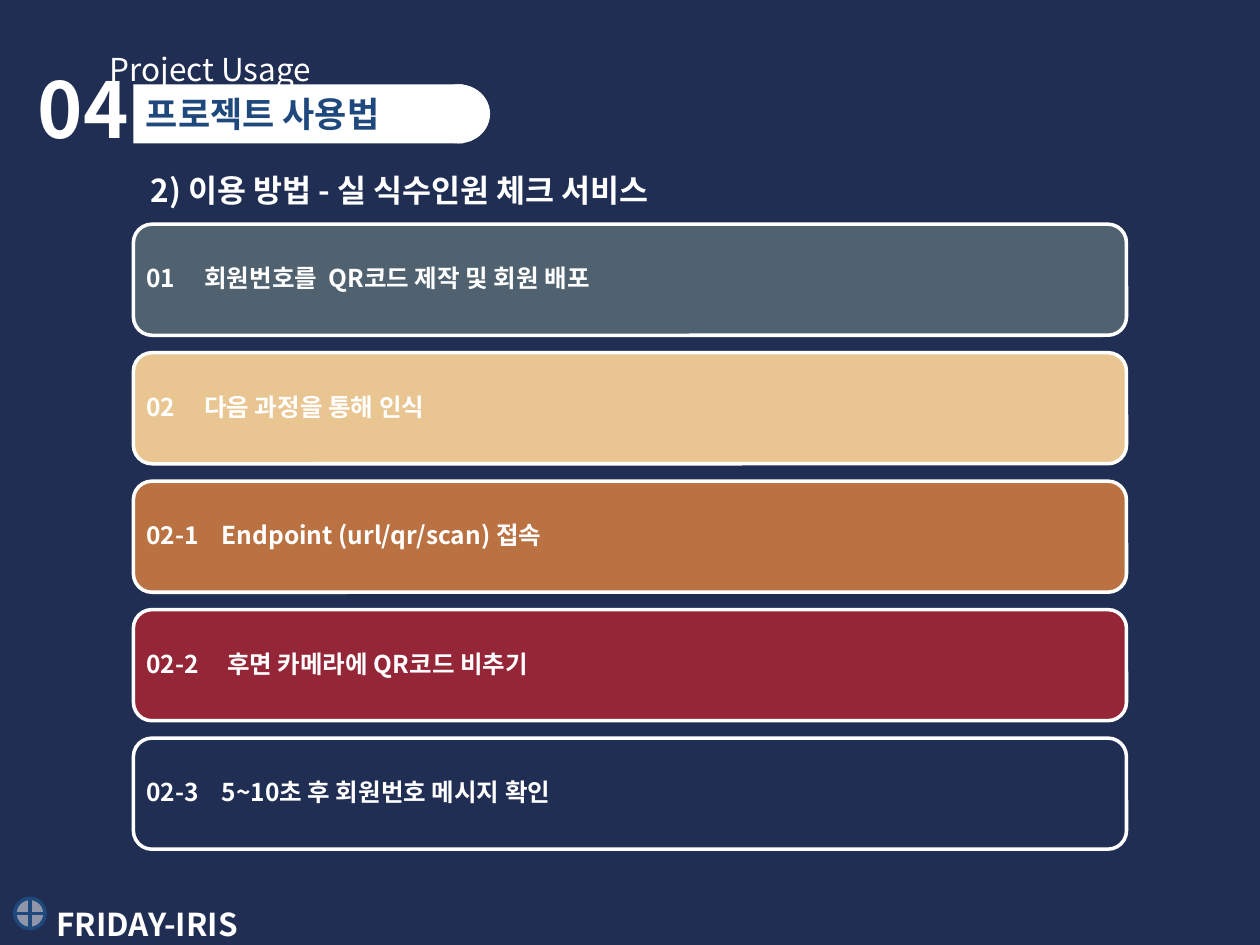
from dataclasses import dataclass

from lxml import etree
from pptx import Presentation
from pptx.dml.color import RGBColor
from pptx.enum.shapes import MSO_SHAPE
from pptx.enum.text import MSO_ANCHOR, PP_ALIGN
from pptx.oxml.ns import qn
from pptx.util import Cm, Pt

RECTANGLE = MSO_SHAPE.RECTANGLE
ROUNDED = MSO_SHAPE.ROUNDED_RECTANGLE
OVAL = MSO_SHAPE.OVAL
CROSSED_CIRCLE = MSO_SHAPE.FLOWCHART_OR
MIDDLE = MSO_ANCHOR.MIDDLE
LEFT = PP_ALIGN.LEFT


@dataclass(frozen=True)
class Theme:
    font: str = "Noto Sans CJK KR"
    navy: str = "212E53"
    white: str = "FFFFFF"
    blue: str = "1F497D"
    slate: str = "506270"
    sand: str = "E9C592"
    copper: str = "BB7243"
    crimson: str = "952637"
    number_size: int = 44
    title_size: int = 20
    heading_size: int = 18
    step_size: int = 14
    outline: int = 2


class SlideBuilder:
    def __init__(self, slide, theme):
        self.slide = slide
        self.theme = theme

    def background(self, color):
        fill = self.slide.background.fill
        fill.solid()
        fill.fore_color.rgb = RGBColor.from_string(color)

    def style_text(self, paragraph, size, color, bold):
        paragraph.alignment = LEFT
        for run in paragraph.runs:
            font = run.font
            font.name = self.theme.font
            font.size = Pt(size)
            font.bold = bold
            font.color.rgb = RGBColor.from_string(color)
            east_asian = etree.SubElement(run._r.get_or_add_rPr(), qn("a:ea"))
            east_asian.set("typeface", self.theme.font)

    def shape(self, kind, left, top, width, height, fill, line=None, opacity=100):
        shape = self.slide.shapes.add_shape(kind, Cm(left), Cm(top), Cm(width), Cm(height))
        shape.shadow.inherit = False
        shape.fill.solid()
        shape.fill.fore_color.rgb = RGBColor.from_string(fill)
        if opacity < 100:
            color = shape.fill._xPr.find(f".//{qn('a:srgbClr')}")
            etree.SubElement(color, qn("a:alpha")).set("val", str(opacity * 1000))
        if line:
            shape.line.color.rgb = RGBColor.from_string(line)
            shape.line.width = Pt(self.theme.outline)
        else:
            shape.line.fill.background()
        return shape

    def label(self, text, left, top, width, height, size, color, bold=True, wrap=True):
        box = self.slide.shapes.add_textbox(Cm(left), Cm(top), Cm(width), Cm(height))
        frame = box.text_frame
        frame.word_wrap = wrap
        frame.text = text
        self.style_text(frame.paragraphs[0], size, color, bold)

    def step(self, number, text, text_offset, top, fill):
        """Draw a rounded card whose description starts at a tab stop."""
        theme = self.theme
        card = self.shape(ROUNDED, 2.69, top, 20.02, 2.24, fill, theme.white)
        frame = card.text_frame
        frame.word_wrap = True
        frame.vertical_anchor = MIDDLE
        frame.margin_left = frame.margin_right = Cm(0.15)
        frame.margin_top = frame.margin_bottom = Cm(0.15)
        frame.text = f"{number}\t{text}"
        paragraph = frame.paragraphs[0]
        paragraph.line_spacing = 0.9
        paragraph.space_after = Pt(6.1)
        self.style_text(paragraph, theme.step_size, theme.white, True)
        tabs = etree.SubElement(paragraph._p.get_or_add_pPr(), qn("a:tabLst"))
        etree.SubElement(tabs, qn("a:tab"), pos=str(Cm(text_offset)), algn="l")


def main():
    theme = Theme()
    deck = Presentation()
    deck.slide_width, deck.slide_height = Cm(25.4), Cm(19.05)
    builder = SlideBuilder(deck.slides.add_slide(deck.slide_layouts[6]), theme)
    builder.background(theme.navy)

    # Footer
    builder.shape(CROSSED_CIRCLE, 0.3, 18.11, 0.61, 0.61, theme.white, theme.blue, opacity=50)
    builder.label("FRIDAY-IRIS", 0.89, 18.11, 7.21, 1.02, theme.heading_size, theme.white)

    # Steps
    steps = [
        ("01", "회원번호를  QR코드 제작 및 회원 배포", 1.17, theme.slate),
        ("02", "다음 과정을 통해 인식", 1.17, theme.sand),
        ("02-1", "Endpoint (url/qr/scan) 접속", 1.52, theme.copper),
        ("02-2", "후면 카메라에 QR코드 비추기", 1.63, theme.crimson),
        ("02-3", "5~10초 후 회원번호 메시지 확인", 1.52, theme.navy),
    ]
    first_top, pitch = 4.52, 2.59
    for index, (number, text, text_offset, fill) in enumerate(steps):
        builder.step(number, text, text_offset, first_top + index * pitch, fill)

    # Header
    builder.label("04", 0.51, 1.12, 2.79, 2.11, theme.number_size, theme.white)
    builder.shape(RECTANGLE, 2.69, 1.7, 6.65, 1.19, theme.white)
    builder.shape(OVAL, 8.61, 1.7, 1.27, 1.19, theme.white)
    builder.label("Project Usage", 1.96, 0.89, 4.62, 1.02,
                  theme.heading_size, theme.white, bold=False, wrap=False)
    builder.label("프로젝트 사용법", 2.69, 1.75, 6.6, 1.09, theme.title_size, theme.blue)
    builder.label("2) 이용 방법 - 실 식수인원 체크 서비스", 2.79, 3.33, 11.23, 1.02,
                  theme.heading_size, theme.white, wrap=False)

    deck.save("out.pptx")


if __name__ == "__main__":
    main()
